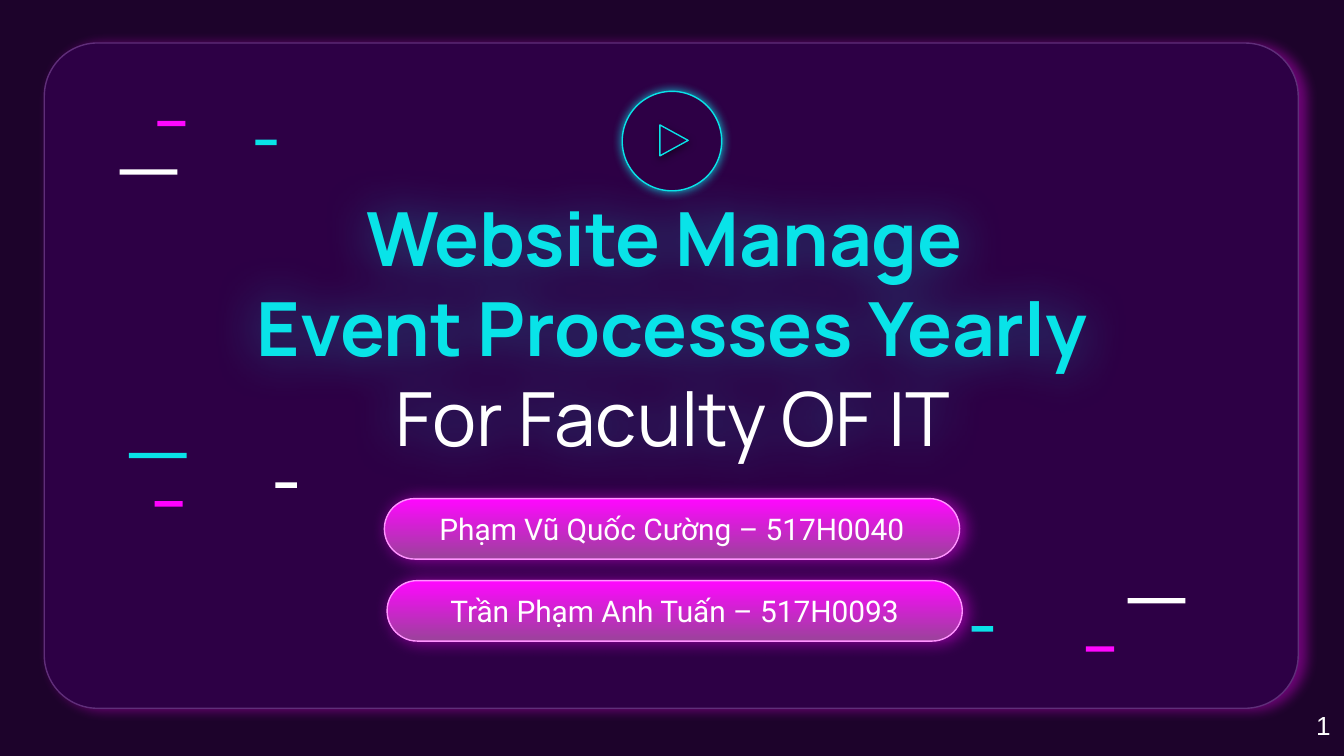
"""Build the title slide of the faculty event website project."""
from lxml import etree
from pptx import Presentation, util as u
from pptx.dml import color
from pptx.enum import shapes, text
from pptx.oxml import ns

BACK, CARD, CYAN, PINK, WHITE = "1D032B", "2D0045", "09E3E8", "FF07FF", "FFFFFF"
TITLE = [("Website Manage ", CYAN, True),
         ("Event Processes Yearly", CYAN, True),
         (" For Faculty OF IT ", WHITE, False)]
AUTHORS = [("Trần Phạm Anh Tuấn – 517H0093", 2.88, 4.32),
           ("Phạm Vũ Quốc Cường – 517H0040", 2.86, 3.71)]
LONG, MEDIUM, SHORT = 0.43, 0.21, 0.16
DASHES = [(0.89, 1.26, LONG, WHITE), (1.17, 0.9, MEDIUM, PINK), (1.9, 1.04, SHORT, CYAN),
          (0.96, 3.37, LONG, CYAN), (1.15, 3.73, MEDIUM, "FF00FF"), (2.05, 3.59, SHORT, WHITE),
          (8.39, 4.45, LONG, WHITE), (8.08, 4.81, MEDIUM, PINK), (7.23, 4.66, SHORT, CYAN)]


def rgb(value):
    """Turn a hex string into a colour."""
    return color.RGBColor.from_string(value)


def add_glow(sp, value, opacity, blur, dist=0, angle=0):
    """Give a shape a blurred coloured shadow."""
    sp.shadow.inherit = False
    effects = sp._element.spPr.find(ns.qn("a:effectLst"))
    shadow = etree.SubElement(effects, ns.qn("a:outerShdw"), blurRad=str(u.Pt(blur)),
                              dist=str(u.Pt(dist)), dir=str(angle * 60000),
                              algn="bl", rotWithShape="0")
    clr = etree.SubElement(shadow, ns.qn("a:srgbClr"), val=value)
    etree.SubElement(clr, ns.qn("a:alpha"), val=str(opacity * 1000))


def add_shape(s, kind, box, fill, line=None):
    """Add a filled preset shape with an optional thin outline."""
    sp = s.shapes.add_shape(kind, *map(u.Inches, box))
    sp.shadow.inherit = False
    if isinstance(fill, tuple):
        sp.fill.gradient()
        sp.fill.gradient_angle = 270
        for i, (stop, value) in enumerate(zip(sp.fill.gradient_stops, fill)):
            stop.color.rgb = rgb(value)
            stop.position = i
    else:
        sp.fill.solid()
        sp.fill.fore_color.rgb = rgb(fill)
    if line:
        sp.line.color.rgb = rgb(line)
        sp.line.width = u.Pt(0.75)
    else:
        sp.line.fill.background()
    return sp


def set_font(font, name, size, value, bold=False):
    """Set the look of a run or paragraph."""
    font.name, font.size, font.bold = name, u.Pt(size), bold
    font.color.rgb = rgb(value)


def add_title(s):
    """Fill the title placeholder with its three lines."""
    sp = s.shapes.title
    s.shapes._spTree.append(sp._element)
    sp.left, sp.top, sp.width, sp.height = map(u.Inches, (0, 1.24, 10, 2.38))
    add_glow(sp, CYAN, 40, 27)
    tf = sp.text_frame
    tf.margin_left = tf.margin_right = tf.margin_top = tf.margin_bottom = u.Inches(0.1)
    tf.vertical_anchor = text.MSO_ANCHOR.MIDDLE
    tf.auto_size = text.MSO_AUTO_SIZE.NONE
    p = tf.paragraphs[0]
    p.alignment, p.line_spacing = text.PP_ALIGN.CENTER, 1.0
    for i, (words, value, bold) in enumerate(TITLE):
        if i:
            p.add_line_break()
        r = p.add_run()
        r.text = words
        set_font(r.font, "Manrope", 40, value, bold)


def add_author(s, name, left, top):
    """Add one glowing author pill."""
    sp = add_shape(s, shapes.MSO_SHAPE.ROUNDED_RECTANGLE, (left, top, 4.28, 0.45),
                   (PINK, "9B429B"), "FF94FF")
    sp.adjustments[0] = 0.5
    add_glow(sp, PINK, 50, 9, 2.2)
    tf = sp.text_frame
    tf.margin_left = tf.margin_right = tf.margin_top = tf.margin_bottom = u.Inches(0.1)
    tf.vertical_anchor = text.MSO_ANCHOR.MIDDLE
    p = tf.paragraphs[0]
    p.text, p.alignment = name, text.PP_ALIGN.CENTER
    set_font(p.font, "Roboto", 16, WHITE)


def main():
    """Build and save the slide."""
    prs = Presentation()
    prs.slide_width = u.Inches(10)
    prs.slide_height = prs.slide_width * 9 // 16
    s = prs.slides.add_slide(prs.slide_layouts[0])
    subtitle = s.placeholders[1]._element
    subtitle.getparent().remove(subtitle)
    s.background.fill.solid()
    s.background.fill.fore_color.rgb = rgb(BACK)

    kinds = shapes.MSO_SHAPE
    card = add_shape(s, kinds.ROUNDED_RECTANGLE, (0.33, 0.32, 9.33, 4.95), CARD, "5F2E79")
    card.adjustments[0] = 0.08
    add_glow(card, PINK, 36, 6.8, 3.8, 19)
    for left, top, width, value in DASHES:
        add_shape(s, kinds.RECTANGLE, (left, top, width, 0.04), value)

    add_title(s)

    button = add_shape(s, kinds.OVAL, (4.63, 0.68, 0.74, 0.74), CARD, CYAN)
    add_glow(button, CYAN, 90, 5.6)
    play = add_shape(s, kinds.ISOSCELES_TRIANGLE, (4.9, 0.94, 0.23, 0.21), CARD, CYAN)
    play.rotation = 90
    add_glow(play, "000000", 50, 4.5, 1.5, 90)

    for author in AUTHORS:
        add_author(s, *author)

    number = s.shapes.add_textbox(*map(u.Inches, (7, 5.23, 3, 0.4)))
    number.text_frame.word_wrap = True
    p = number.text_frame.paragraphs[0]
    p.text, p.alignment = "1", text.PP_ALIGN.RIGHT
    set_font(p.font, "Arial", 14, WHITE)
    prs.save("out.pptx")


if __name__ == "__main__":
    main()
